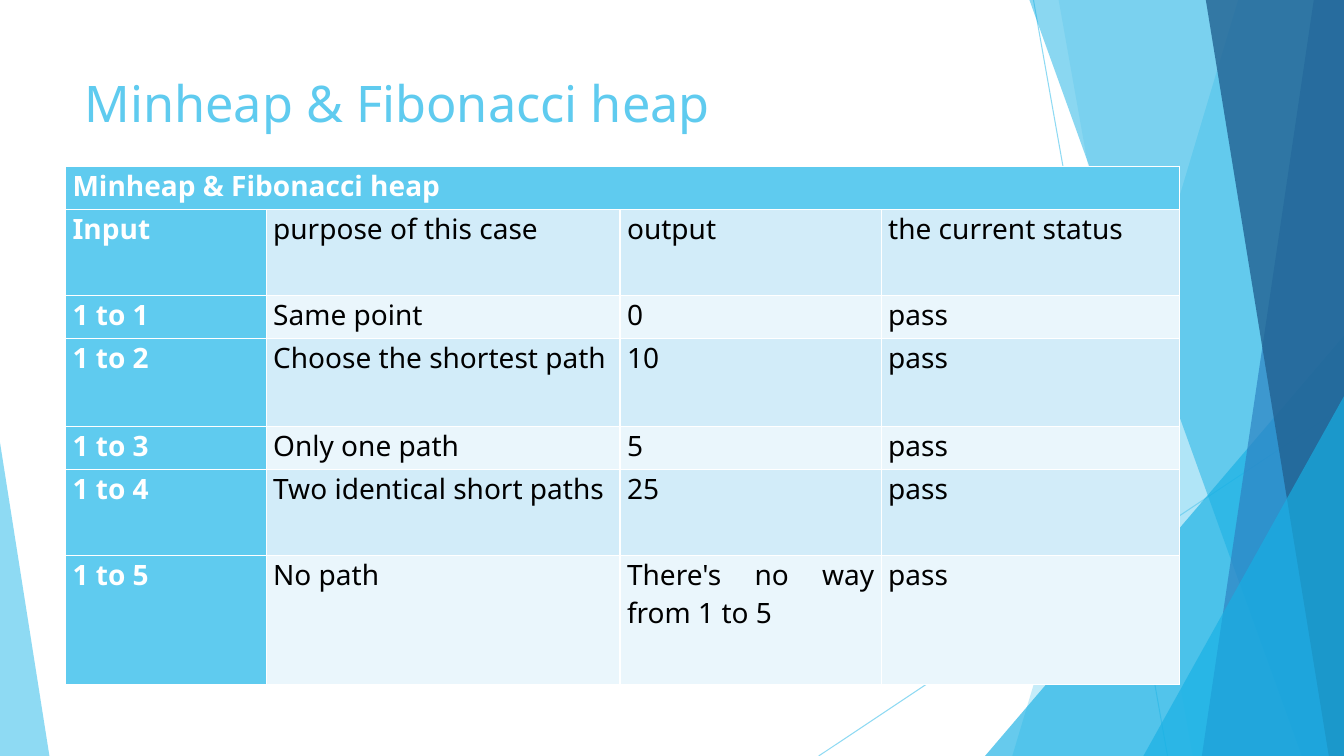
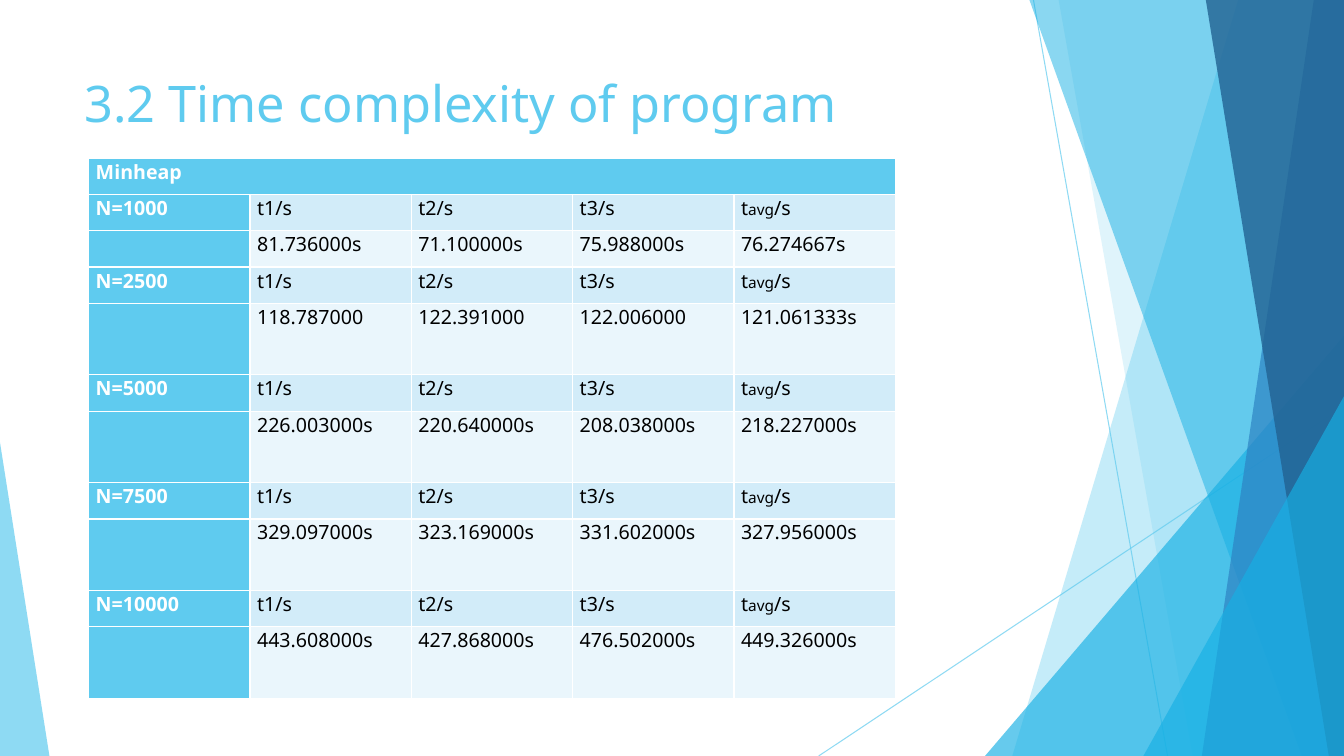
import pptx
import pptx.util
import pptx.dml.color
import pptx.enum.shapes
import pptx.enum.text
import pptx.oxml
import pptx.oxml.ns

Inches, Pt = pptx.util.Inches, pptx.util.Pt
KINDS = pptx.enum.shapes

FONT = "Noto Sans"
WIDE, HIGH = 13.33, 7.5
HUES = {
    "sky": "5FCBEF", "cyan": "17B0E4", "blue": "2E83C3", "navy": "226292",
    "dark": "D2ECF9", "light": "EAF6FC", "text": "000000", "white": "FFFFFF",
}

# Backdrop, back to front
RAYS = [((10.25, 0), (11.58, HIGH)), ((WIDE, 4.03), (8.12, HIGH))]
# Bands reach the right edge: top x, bottom x, hue, opacity in percent
# Peaks stand on the bottom edge: left, top, width, apex, hue, opacity
DECOR = [
    ("band", 12.28, 10.04, "sky", 36),
    ("band", 10.5, 11.83, "sky", 20),
    ("peak", 9.77, 3.33, 3.56, 1, "cyan", 66),
    ("band", 10.21, 12.91, "cyan", 50),
    ("band", 13.03, 11.92, "blue", 70),
    ("band", 11.96, 13.18, "navy", 80),
    ("peak", 11.34, 3.93, 1.99, 1, "cyan", 66),
    ("peak", 0, 4.39, 0.49, 0, "sky", 70),
]

CASES = [
    ("Input", "purpose of this case", "output", "the current status"),
    ("1 to 1", "Same point", "0", "pass"),
    ("1 to 2", "Choose the shortest path", "10", "pass"),
    ("1 to 3", "Only one path", "5", "pass"),
    ("1 to 4", "Two identical short paths", "25", "pass"),
    ("1 to 5", "No path", "There's no way from 1 to 5", "pass"),
]

# Text between underscores is set small
HEADS = ("t1/s", "t2/s", "t3/s", "t_avg_/s")
TIMES = {
    "N=1000": ("81.736000s", "71.100000s", "75.988000s", "76.274667s"),
    "N=2500": ("118.787000", "122.391000", "122.006000", "121.061333s"),
    "N=5000": ("226.003000s", "220.640000s", "208.038000s", "218.227000s"),
    "N=7500": ("329.097000s", "323.169000s", "331.602000s", "327.956000s"),
    "N=10000": ("443.608000s", "427.868000s", "476.502000s", "449.326000s"),
}
RUNS = [row for size, times in TIMES.items()
        for row in ((size, *HEADS), ("", *times))]

SLIDES = [
    {"title": "Minheap & Fibonacci heap", "head": "Minheap & Fibonacci heap",
     "rows": CASES, "at": (0.65, 1.65), "size": 20,
     "cols": [1.99, 3.51, 2.59, 2.96],
     "highs": [0.43, 0.85, 0.43, 0.87, 0.43, 0.85, 1.28]},
    {"title": "3.2 Time complexity of program", "head": "Minheap",
     "rows": RUNS, "at": (0.88, 1.57), "size": 14,
     "cols": [1.6] * 5,
     "highs": [0.36] * 3 + [0.36, 0.71] * 4},
]


def hue(name):
    """Return the named colour."""
    return pptx.dml.color.RGBColor.from_string(HUES[name])


def fade(shape, share):
    """Set the opacity of a shape's fill or line, in percent."""
    tag = pptx.oxml.ns.qn("a:srgbClr")
    for node in shape._element.spPr.iter(tag):
        alpha = pptx.oxml.parse_xml(
            "<a:alpha %s val='%d'/>" % (pptx.oxml.ns.nsdecls("a"), share * 1000))
        node.append(alpha)


def paint(shape, name, share):
    """Give a shape a see-through fill and no line."""
    shape.shadow.inherit = False
    shape.fill.solid()
    shape.fill.fore_color.rgb = hue(name)
    shape.line.fill.background()
    fade(shape, share)


def ray(slide, start, end):
    """Draw one thin line of the backdrop."""
    line = slide.shapes.add_connector(
        KINDS.MSO_CONNECTOR.STRAIGHT, *map(Inches, start + end))
    line.line.color.rgb = hue("sky")
    line.line.width = Pt(0.75)
    line._element.spPr.append(pptx.oxml.parse_xml(
        "<a:effectLst %s/>" % pptx.oxml.ns.nsdecls("a")))
    fade(line, 70)


def band(slide, top, base, name, share):
    """Draw a full-height band that ends at the right edge."""
    pen = slide.shapes.build_freeform(Inches(top), 0)
    points = [(WIDE, 0), (WIDE, HIGH), (base, HIGH)]
    pen.add_line_segments([(Inches(x), Inches(y)) for x, y in points])
    paint(pen.convert_to_shape(), name, share)


def peak(slide, left, top, width, apex, name, share):
    """Draw a triangle that stands on the bottom edge."""
    shape = slide.shapes.add_shape(
        KINDS.MSO_SHAPE.ISOSCELES_TRIANGLE,
        *map(Inches, (left, top, width, HIGH - top)))
    shape.adjustments[0] = apex
    paint(shape, name, share)


def style(para, size, name, bold=False):
    """Set the font of a paragraph."""
    font = para.font
    font.name, font.size, font.bold = FONT, Pt(size), bold
    font.color.rgb = hue(name)


def title(slide, text):
    """Write the slide title."""
    box = slide.shapes.add_textbox(*map(Inches, (0.74, 0.67, 9.4, 1.44)))
    frame = box.text_frame
    frame.word_wrap = True
    frame.vertical_anchor = pptx.enum.text.MSO_ANCHOR.TOP
    frame.text = text
    style(frame.paragraphs[0], 36, "sky")


def write(cell, text, size, fill, head):
    """Fill one table cell."""
    cell.margin_left = cell.margin_right = Inches(0.07)
    cell.margin_top = cell.margin_bottom = 0
    cell.fill.solid()
    cell.fill.fore_color.rgb = hue(fill)
    if not text:
        return
    para = cell.text_frame.paragraphs[0]
    para.alignment = pptx.enum.text.PP_ALIGN.JUSTIFY
    para.space_after = Pt(6)
    style(para, size, "white" if head else "text", head)
    for i, part in enumerate(text.split("_")):
        run = para.add_run()
        run.text = part
        if i % 2:
            run.font.size = Pt(11)


def grid(slide, head, rows, at, size, cols, highs):
    """Draw a table with a merged head row and a head column."""
    spot = (*at, sum(cols), sum(highs))
    table = slide.shapes.add_table(
        len(highs), len(cols), *map(Inches, spot)).table
    table.first_col = True
    table.horz_banding = False
    for col, width in zip(table.columns, cols):
        col.width = Inches(width)
    for row, high in zip(table.rows, highs):
        row.height = Inches(high)
    table.cell(0, 0).merge(table.cell(0, len(cols) - 1))
    write(table.cell(0, 0), head, size, "sky", True)
    for r, row in enumerate(rows, 1):
        for c, text in enumerate(row):
            shade = "dark" if r % 2 else "light"
            write(table.cell(r, c), text, size, shade if c else "sky", c == 0)


def build():
    """Build and save the deck."""
    deck = pptx.Presentation()
    deck.slide_width, deck.slide_height = Inches(WIDE), Inches(HIGH)
    draw = {"band": band, "peak": peak}
    for page in SLIDES:
        slide = deck.slides.add_slide(deck.slide_layouts[6])
        for start, end in RAYS:
            ray(slide, start, end)
        for kind, *args in DECOR:
            draw[kind](slide, *args)
        title(slide, page["title"])
        grid(slide, **{k: v for k, v in page.items() if k != "title"})
    deck.save("out.pptx")


build()
